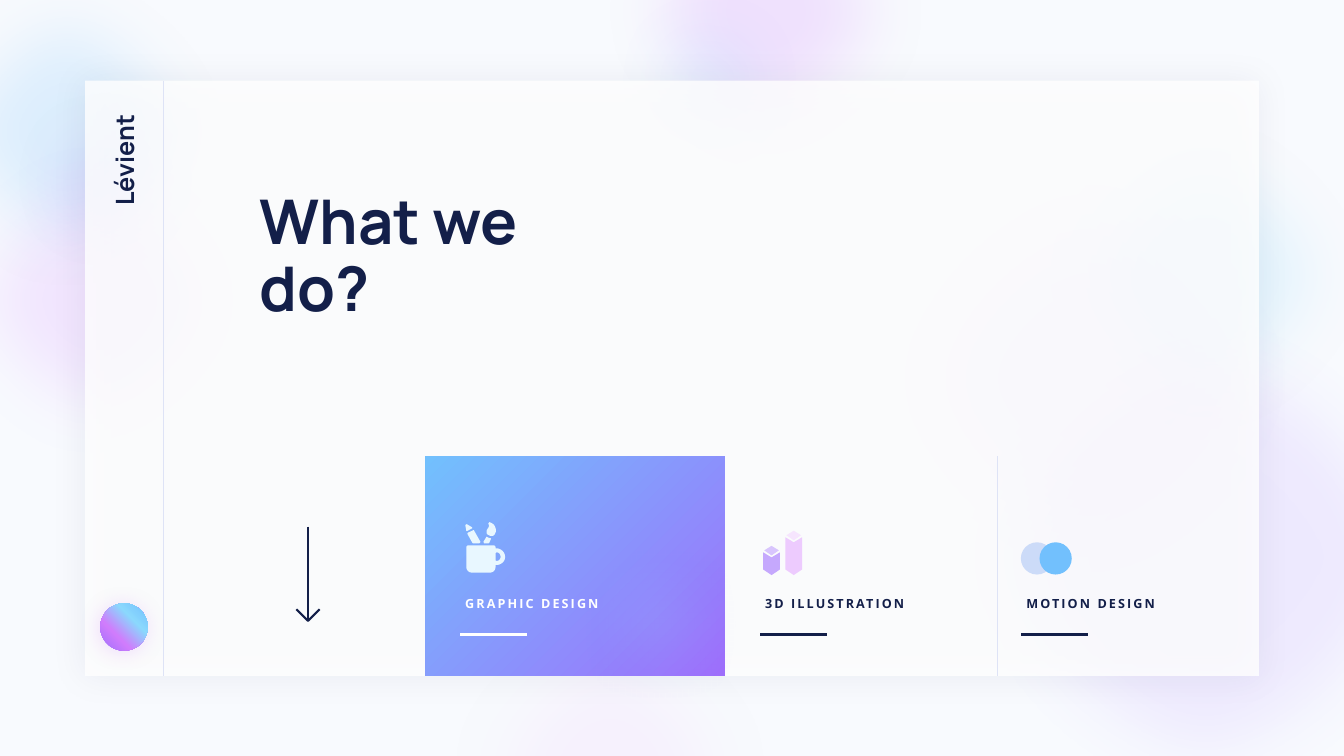
"""Build the "What we do?" slide with three service columns."""
from lxml import etree
from pptx import Presentation
from pptx.dml.color import RGBColor
from pptx.enum.shapes import MSO_CONNECTOR, MSO_SHAPE
from pptx.enum.text import MSO_ANCHOR, MSO_AUTO_SIZE, PP_ALIGN
from pptx.oxml.ns import qn
from pptx.util import Inches, Pt

ELLIPSE, RECT = MSO_SHAPE.OVAL, MSO_SHAPE.RECTANGLE
STRAIGHT = MSO_CONNECTOR.STRAIGHT
TOP, MIDDLE = MSO_ANCHOR.TOP, MSO_ANCHOR.MIDDLE
LEFT, NO_FIT = PP_ALIGN.LEFT, MSO_AUTO_SIZE.NONE

NAVY = RGBColor(0x13, 0x1F, 0x49)
WHITE = RGBColor(0xFF, 0xFF, 0xFF)
PAPER = RGBColor(0xF8, 0xFA, 0xFE)
RULE = RGBColor(0xDE, 0xE3, 0xF6)
BLUE = RGBColor(0x72, 0xC0, 0xFD)
SKY = RGBColor(0x8B, 0xD8, 0xFD)
VIOLET = RGBColor(0x9E, 0x6E, 0xFB)
ORCHID = RGBColor(0xD1, 0x7D, 0xFC)
PINK = RGBColor(0xF1, 0xCD, 0xFC)
ICE = RGBColor(0xE8, 0xF7, 0xFF)
MIST = RGBColor(0xCC, 0xDB, 0xF8)
LILAC = RGBColor(0xC5, 0xA8, 0xFD)
LILAC_TOP = RGBColor(0xD8, 0xC5, 0xFD)
ROSE = RGBColor(0xED, 0xCB, 0xFE)
ROSE_TOP = RGBColor(0xF6, 0xE5, 0xFE)

WIDTH, HEIGHT = 26.66, 15
PANEL_X, PANEL_Y, PANEL_W, PANEL_H = 1.69, 1.6, 23.28, 11.81
PANEL_BOTTOM = PANEL_Y + PANEL_H
CARD_Y, LABEL_Y, RULE_Y = 9.05, 11.77, 12.59
RULE_W, GLOW_EDGE = 1.33, 100

BACK_GLOWS = [
    (-2.4, -1.13, 7.45, BLUE, 20), (-1.88, 2.22, 7.45, ORCHID, 17),
    (-0.53, 0.95, 5.23, VIOLET, 19), (18.54, 5.67, 10.76, VIOLET, 12),
    (17.03, 2.92, 9.16, ORCHID, 10), (20.19, 1.73, 7.45, SKY, 20),
    (8.37, 11.56, 7.45, PINK, 20), (11.46, -3.5, 7.45, ORCHID, 20),
    (11.46, -1.02, 5.23, BLUE, 19),
]
CARD_GLOWS = [(10.82, 10.11, 4.54, SKY, 64), (8.07, 8.87, 3.11, ORCHID, 43)]
CARD_STOPS = [(0, VIOLET), (100, BLUE)]
ORB_STOPS = [(0, VIOLET), (34, ORCHID), (67, SKY), (100, BLUE)]
SERVICES = [
    (9.13, 2.91, "GRAPHIC DESIGN", WHITE),
    (15.08, 3.03, "3D ILLUSTRATION", NAVY),
    (20.26, 2.82, "MOTION DESIGN", NAVY),
]
MUG = [
    [(10.02, 11.05), (10.02, 10.96, 9.94, 10.88, 9.85, 10.88), (9.83, 10.88),
     (9.83, 10.86), (9.83, 10.84, 9.81, 10.82, 9.79, 10.82), (9.29, 10.82),
     (9.27, 10.82, 9.25, 10.84, 9.25, 10.86), (9.25, 11.25),
     (9.25, 11.31, 9.3, 11.36, 9.35, 11.36), (9.73, 11.36),
     (9.78, 11.36, 9.83, 11.31, 9.83, 11.25), (9.83, 11.21), (9.85, 11.21),
     (9.94, 11.21, 10.02, 11.14, 10.02, 11.05)],
    [(9.85, 11.13), (9.83, 11.12), (9.83, 10.97), (9.85, 10.96),
     (9.9, 10.96, 9.93, 11, 9.93, 11.05), (9.93, 11.09, 9.9, 11.13, 9.85, 11.13)],
]
PENCIL_TIP = [[(9.37, 10.48), (9.36, 10.46), (9.26, 10.4), (9.24, 10.41),
               (9.23, 10.42), (9.25, 10.53), (9.26, 10.54)]]
PENCIL = [[(9.28, 10.57), (9.27, 10.59), (9.37, 10.77), (9.38, 10.78), (9.51, 10.78),
           (9.53, 10.76), (9.53, 10.75), (9.4, 10.52), (9.39, 10.52)]]
BRUSH_HANDLE = [[(9.69, 10.67), (9.65, 10.65), (9.59, 10.75), (9.6, 10.78),
                 (9.69, 10.78), (9.71, 10.76), (9.74, 10.69), (9.73, 10.68)]]
BRUSH_HEAD = [[(9.83, 10.48), (9.82, 10.42, 9.77, 10.38, 9.71, 10.36), (9.69, 10.38),
               (9.69, 10.4), (9.71, 10.43, 9.7, 10.45, 9.68, 10.48), (9.66, 10.51),
               (9.64, 10.55, 9.65, 10.61, 9.7, 10.62),
               (9.73, 10.64, 9.77, 10.64, 9.8, 10.62),
               (9.83, 10.58, 9.85, 10.53, 9.83, 10.48)]]
PRISMS = [(15.14, 10.96, LILAC, LILAC_TOP), (15.58, 10.66, ROSE, ROSE_TOP)]
PRISM_FLOOR = 11.41
DISCS = [(20.25, MIST), (20.62, BLUE)]
ARROW_X, ARROW_TOP, ARROW_TIP, ARROW_HALF = 6.11, 10.45, 12.32, 0.23


def color_node(parent, color, alpha=100):
    node = etree.SubElement(parent, qn("a:srgbClr"), val=str(color))
    if alpha < 100:
        etree.SubElement(node, qn("a:alpha"), val=str(alpha * 1000))


def add_effect(sp, tag, **attrs):
    effects = sp._element.spPr.find(qn("a:effectLst"))
    return etree.SubElement(effects, qn(tag), **{k: str(v) for k, v in attrs.items()})


def add_shadow(sp, color, alpha, blur):
    node = add_effect(sp, "a:outerShdw", blurRad=Pt(blur), dist=Pt(3),
                      dir=135 * 60000, algn="ctr", rotWithShape=0)
    color_node(node, color, alpha)


def add_solid(s, kind, x, y, w, h, color, alpha=100):
    sp = s.shapes.add_shape(kind, Inches(x), Inches(y), Inches(w), Inches(h))
    sp.shadow.inherit = False
    sp.line.fill.background()
    sp.fill.solid()
    sp.fill.fore_color.rgb = color
    if alpha < 100:
        node = sp._element.spPr.find(qn("a:solidFill"))[0]
        etree.SubElement(node, qn("a:alpha"), val=str(alpha * 1000))
    return sp


def add_glows(s, glows):
    for x, y, size, color, alpha in glows:
        sp = add_solid(s, ELLIPSE, x, y, size, size, color, alpha)
        add_effect(sp, "a:softEdge", rad=Pt(GLOW_EDGE))


def set_gradient(sp, stops, angle):
    sp.fill.gradient()
    sp.fill.gradient_angle = angle
    stop_list = sp._element.spPr.find(qn("a:gradFill")).find(qn("a:gsLst"))
    for old in list(stop_list):
        stop_list.remove(old)
    for pos, color in stops:
        color_node(etree.SubElement(stop_list, qn("a:gs"), pos=str(pos * 1000)), color)


def add_line(s, x1, y1, x2, y2, color, width):
    line = s.shapes.add_connector(STRAIGHT, Inches(x1), Inches(y1), Inches(x2), Inches(y2))
    line.line.color.rgb = color
    line.line.width = Pt(width)
    etree.SubElement(line._element.spPr, qn("a:effectLst"))


def flatten(contour, steps=8):
    points = []
    for part in contour:
        if len(part) == 2:
            points.append(part)
            continue
        nodes = [points[-1], part[:2], part[2:4], part[4:]]
        for t in (i / steps for i in range(1, steps + 1)):
            weights = ((1 - t) ** 3, 3 * t * (1 - t) ** 2, 3 * t * t * (1 - t), t ** 3)
            points.append(tuple(sum(k * n[axis] for k, n in zip(weights, nodes))
                                for axis in (0, 1)))
    return [(Inches(x), Inches(y)) for x, y in points]


def add_outline(s, contours, color, closed=True):
    first, *rest = [flatten(c) for c in contours]
    builder = s.shapes.build_freeform(*first[0], scale=1.0)
    builder.add_line_segments(first[1:], close=closed)
    for points in rest:
        builder.move_to(*points[0])
        builder.add_line_segments(points[1:], close=True)
    sp = builder.convert_to_shape()
    sp.shadow.inherit = False
    if closed:
        sp.fill.solid()
        sp.fill.fore_color.rgb = color
        sp.line.fill.background()
    else:
        sp.fill.background()
        sp.line.color.rgb = color
        sp.line.width = Pt(3)


def write(sp, text, font, size, color, spacing=0, wrap=False, anchor=TOP):
    tf = sp.text_frame
    tf.word_wrap, tf.auto_size, tf.vertical_anchor = wrap, NO_FIT, anchor
    p = tf.paragraphs[0]
    p.alignment = LEFT
    r = p.add_run()
    r.text = text
    r.font.name, r.font.size, r.font.bold = font, Pt(size), True
    r.font.color.rgb = color
    if spacing:
        r._r.get_or_add_rPr().set("spc", str(spacing * 100))
    return p


def add_text(s, x, y, w, h, *args, **kwargs):
    sp = s.shapes.add_textbox(Inches(x), Inches(y), Inches(w), Inches(h))
    write(sp, *args, **kwargs)
    return sp


def main():
    prs = Presentation()
    prs.slide_width, prs.slide_height = Inches(WIDTH), Inches(HEIGHT)
    s = prs.slides.add_slide(prs.slide_layouts[5])
    s.background.fill.solid()
    s.background.fill.fore_color.rgb = PAPER

    add_glows(s, BACK_GLOWS)
    panel = add_solid(s, RECT, PANEL_X, PANEL_Y, PANEL_W, PANEL_H, WHITE, 80)
    add_shadow(panel, NAVY, 8, 51)
    card = add_solid(s, RECT, 8.44, CARD_Y, 5.94, PANEL_BOTTOM - CARD_Y, VIOLET)
    set_gradient(card, CARD_STOPS, 135)
    add_glows(s, CARD_GLOWS)
    for x, top in [(3.23, PANEL_Y), (19.79, CARD_Y)]:
        add_line(s, x, top, x, PANEL_BOTTOM, RULE, 0.5)

    orb = add_solid(s, ELLIPSE, 1.99, 11.97, 0.94, 0.94, VIOLET)
    set_gradient(orb, ORB_STOPS, 45)
    add_shadow(orb, ORCHID, 26, 31)
    name = add_text(s, 1.42, 2.78, 2.08, 0.71, "Lévient", "Manrope", 36, NAVY, anchor=MIDDLE)
    name.rotation = 270

    title = s.shapes.title
    title.left, title.top, title.width, title.height = map(Inches, (5.05, 3.75, 5.77, 3.06))
    write(title, "What we do?", "Manrope", 88, NAVY, wrap=True).line_spacing = 0.9
    s.shapes._spTree.append(title._element)

    for x, w, label, color in SERVICES:
        add_text(s, x, LABEL_Y, w, 0.4, label, "Open Sans", 18, color, spacing=3)
        add_line(s, x, RULE_Y, x + RULE_W, RULE_Y, color, 3)

    for contours in (MUG, PENCIL_TIP, PENCIL, BRUSH_HANDLE, BRUSH_HEAD):
        add_outline(s, contours, ICE)
    for x, y, side, top in PRISMS:
        mid, right = x + 0.165, x + 0.33
        add_outline(s, [[(x, y), (mid, y + 0.1), (right, y), (right, PRISM_FLOOR - 0.11),
                         (mid, PRISM_FLOOR), (x, PRISM_FLOOR - 0.11)]], side)
        add_outline(s, [[(x + 0.02, y - 0.04), (mid, y - 0.13), (right - 0.02, y - 0.04),
                         (mid, y + 0.06)]], top)
    for x, color in DISCS:
        add_solid(s, ELLIPSE, x, 10.76, 0.64, 0.64, color)

    wing_y = ARROW_TIP - ARROW_HALF
    add_outline(s, [[(ARROW_X - ARROW_HALF, wing_y), (ARROW_X, ARROW_TIP),
                     (ARROW_X + ARROW_HALF, wing_y)]], NAVY, closed=False)
    add_line(s, ARROW_X, ARROW_TOP, ARROW_X, ARROW_TIP, NAVY, 3)
    prs.save("out.pptx")


if __name__ == "__main__":
    main()
